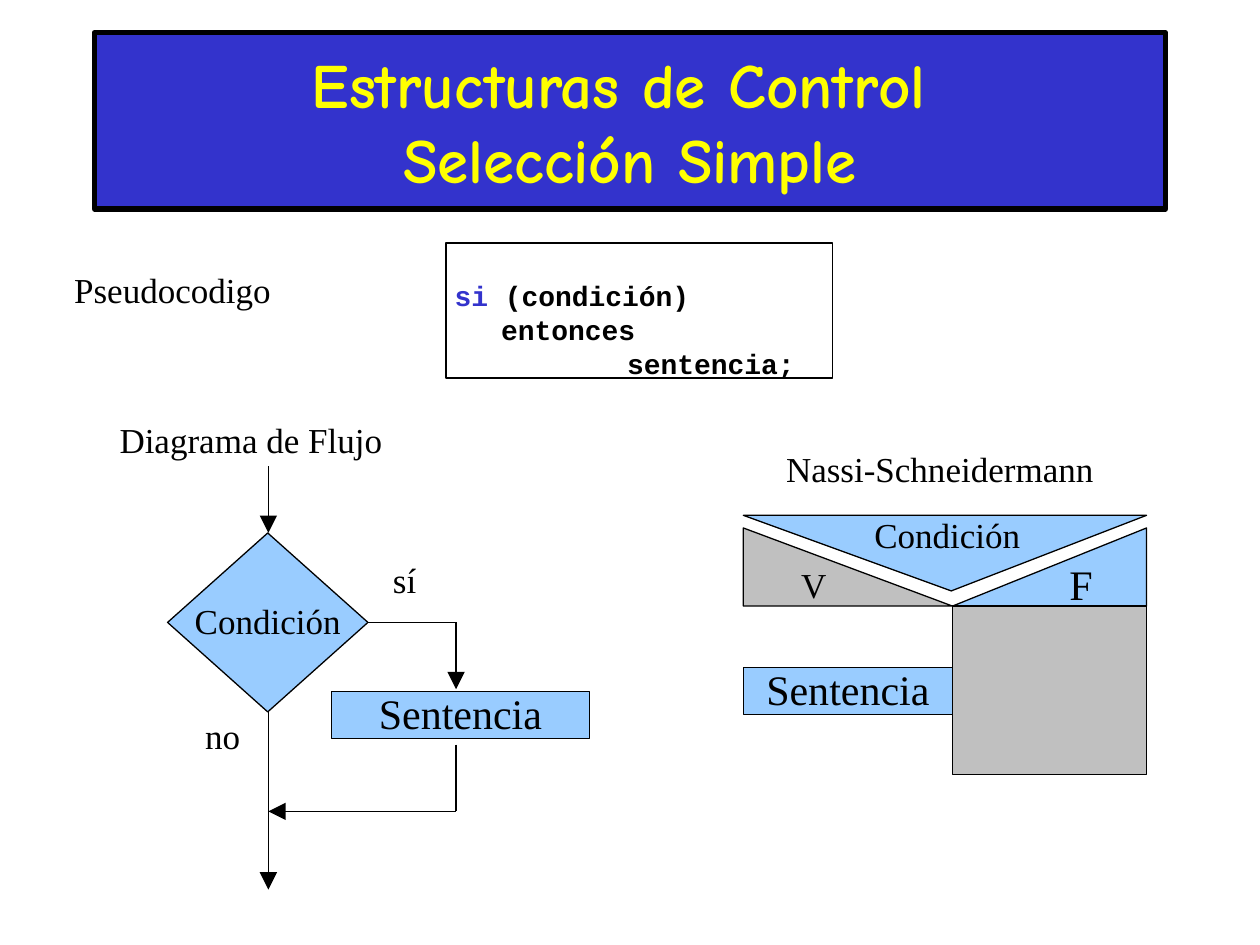
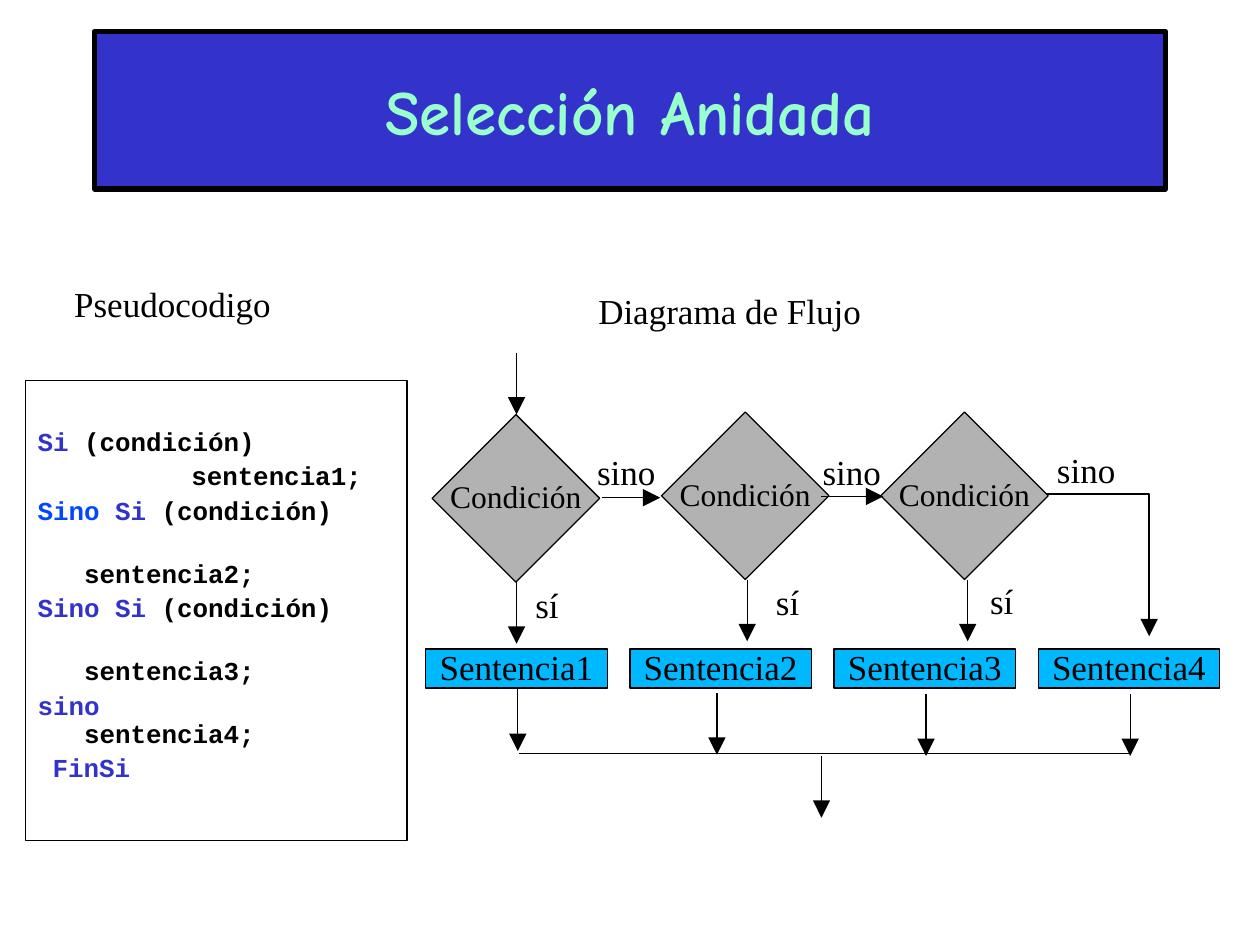
from lxml.etree import SubElement
from pptx import Presentation
from pptx.dml.color import RGBColor
from pptx.enum.shapes import MSO_CONNECTOR as Connector, MSO_SHAPE as Preset
from pptx.enum.text import MSO_ANCHOR as Anchor, PP_ALIGN as Align
from pptx.oxml.ns import qn
from pptx.util import Inches, Pt

# Shared look; every place is given on a grid of 10 columns by 7.5 rows
COLUMNS, ROWS, CELL = 10, 7.5, Inches(1)
BLACK, BLUE, KEYWORD, SKY = "000000", "3333CC", "0047FF", "99CCFF"
SILVER, GRAY, CYAN = "C0C0C0", "B2B2B2", "00B8FF"
TITLE_FONT = {"name": "Comic Neue", "size": Pt(36), "bold": True}
SERIF = "Times New Roman"
CODE = "Courier New"
THIN, THICK = 0.75, 3
LABEL_HEIGHT = 0.41

# Slide 1: simple selection
SIMPLE_TITLE = ["Estructuras de Control ", "Selección Simple"]
# Code line: runs of (text, colour), indent, space before
SIMPLE_CODE = [
    ([("si", BLUE), (" (condición)", BLACK)], 0, 0),
    ([("entonces", BLACK)], 0.37, 0),
    ([("sentencia;", BLACK)], 1.37, 0),
]
SIMPLE_LABELS = [
    ("Diagrama de Flujo", 0.85, 3.3, 3.11),
    ("sí", 3.02, 4.41, 0.6),
    ("no", 1.53, 5.65, 0.7),
    ("Nassi-Schneidermann", 6.14, 3.53, 2.74),
    ("Condición", 6.84, 4.06, 1.42),
    ("Pseudocodigo", 0.49, 2.11, 1.86),
]
FLOW_X, BRANCH_X = 2.13, 3.62
DECISION_TOP, DECISION_MIDDLE, DECISION_BOTTOM = 4.23, 4.94, 5.65
JOIN_Y = 6.44
# Line: start, end, has an arrowhead
SIMPLE_LINES = [
    ((FLOW_X, 3.7), (FLOW_X, DECISION_TOP), True),
    ((FLOW_X, DECISION_BOTTOM), (FLOW_X, 7.06), True),
    ((2.92, DECISION_MIDDLE), (BRANCH_X, DECISION_MIDDLE), False),
    ((BRANCH_X, DECISION_MIDDLE), (BRANCH_X, 5.47), True),
    ((BRANCH_X, 5.91), (BRANCH_X, JOIN_Y), False),
    ((BRANCH_X, JOIN_Y), (FLOW_X, JOIN_Y), True),
]
# Nassi-Schneidermann chart
CHART_LEFT, CHART_SPLIT, CHART_RIGHT = 5.9, 7.56, 9.1
CHART_TOP, WEDGE_TOP, WEDGE_BOTTOM = 4.09, 4.19, 4.81
CHART_WEDGES = [
    ([(CHART_LEFT, CHART_TOP), (CHART_RIGHT, CHART_TOP), (7.55, 4.69)], SKY),
    ([(CHART_LEFT, WEDGE_TOP), (CHART_SPLIT, WEDGE_BOTTOM), (CHART_LEFT, WEDGE_BOTTOM)], SILVER),
    ([(CHART_RIGHT, WEDGE_TOP), (CHART_SPLIT, WEDGE_BOTTOM), (CHART_RIGHT, WEDGE_BOTTOM)], SKY),
]
CHART_LETTERS = [("V", (6.26, 4.45, 0.4, 0.41), 20), ("F", (8.39, 4.42, 0.38, 0.47), 24)]

# Slide 2: nested selection
NESTED_TITLE = ["Selección Anidada"]
NESTED_CODE = [
    ([("Si", BLUE), (" (condición)", BLACK)], 0, 0),
    ([("sentencia1;", BLACK)], 1.22, 3.7),
    ([("Sino ", KEYWORD), ("Si", BLUE), (" (condición)", BLACK)], 0, 3.7),
    ([("sentencia2;", BLACK)], 0.37, 20),
    ([("Sino Si", BLUE), (" (condición)", BLACK)], 0, 3.7),
    ([("sentencia3;", BLACK)], 0.37, 20),
    ([("sino", BLUE)], 0, 3.7),
    ([("sentencia4;", BLACK)], 0.37, 0),
    ([("FinSi", BLUE)], 0.12, 3.7),
]
NESTED_LABELS = [
    ("Diagrama de Flujo", 4.65, 2.28, 2.9),
    ("Pseudocodigo", 0.49, 2.22, 1.86),
    ("sí", 4.15, 4.61, 0.5),
    ("sí", 6.06, 4.59, 0.5),
    ("sí", 7.76, 4.58, 0.5),
    ("sino", 4.64, 3.56, 0.85),
    ("sino", 6.43, 3.56, 0.85),
    ("sino", 8.29, 3.54, 0.85),
]
DECISION_SIZE = 1.33
DECISIONS = [(3.43, 3.29), (5.25, 3.27), (6.99, 3.27)]
SENTENCES = ["Sentencia1", "Sentencia2", "Sentencia3", "Sentencia4"]
SENTENCE_LEFT, SENTENCE_TOP, SENTENCE_STEP = 3.38, 5.15, 1.62
ARROW_LENGTH, MERGE_Y = 0.49, 5.98
# Down arrows by their start, all of one length
DOWN_ARROWS = [
    (4.1, 2.8), (4.1, 4.62), (5.93, 4.6), (7.68, 4.6),
    (4.11, 5.47), (5.69, 5.5), (7.35, 5.51), (8.97, 5.51), (6.52, 6),
]
NESTED_LINES = [
    ((4.78, 3.95), (5.24, 3.95), True),
    ((6.52, 3.94), (7.01, 3.94), True),
    ((4.12, MERGE_Y), (8.98, MERGE_Y), False),
]
LAST_BRANCH = [(8.3, 3.92), (9.12, 3.92), (9.12, 5.05)]


def grid(*values):
    return [int(value * CELL) for value in values]


def color(hex_text):
    return RGBColor.from_string(hex_text)


def set_values(target, values):
    for name, value in values.items():
        setattr(target, name, value)


def style(shape, fill=None, width=THIN):
    shape.shadow.inherit = False
    if fill:
        shape.fill.solid()
        shape.fill.fore_color.rgb = color(fill)
    else:
        shape.fill.background()
    shape.line.color.rgb = color(BLACK)
    shape.line.width = Pt(width)
    return shape


def add_arrowhead(shape):
    line = shape.line._get_or_add_ln()
    SubElement(line, qn("a:tailEnd"), type="triangle", w="lg", len="lg")


def write(shape, lines, font, frame=None, paragraph_format=None):
    """Fill a shape with lines of (runs, indent, space before)."""
    text_frame = shape.text_frame
    set_values(text_frame, {"word_wrap": True, **(frame or {})})
    for number, (runs, indent, before) in enumerate(lines):
        paragraph = text_frame.add_paragraph() if number else text_frame.paragraphs[0]
        set_values(paragraph, {"space_before": Pt(before), **(paragraph_format or {})})
        if indent:
            paragraph._p.get_or_add_pPr().set("marL", str(int(indent * CELL)))
        for text, hex_text in runs:
            run = paragraph.add_run()
            run.text = text
            set_values(run.font, font)
            run.font.color.rgb = color(hex_text)


def add_box(slide, box, fill=None, width=THIN, preset=Preset.RECTANGLE):
    return style(slide.shapes.add_shape(preset, *grid(*box)), fill, width)


def add_title(slide, lines, box, hex_text):
    band = add_box(slide, box, BLUE, THICK)
    write(band, [([(line, hex_text)], 0, 0) for line in lines], TITLE_FONT,
          {"vertical_anchor": Anchor.MIDDLE}, {"alignment": Align.CENTER})


def write_centred(shape, text, size):
    margins = dict.fromkeys(("margin_left", "margin_top", "margin_right", "margin_bottom"), 0)
    write(shape, [([(text, BLACK)], 0, 0)], {"name": SERIF, "size": Pt(size)},
          {"word_wrap": False, "vertical_anchor": Anchor.MIDDLE, **margins},
          {"alignment": Align.CENTER, "line_spacing": 0.93})


def write_code(shape, lines, size, pitch, top):
    write(shape, lines, {"name": CODE, "size": Pt(size), "bold": True},
          {"vertical_anchor": Anchor.TOP, "margin_top": Inches(top)},
          {"alignment": Align.LEFT, "line_spacing": Pt(pitch)})


def add_labels(slide, labels):
    for text, left, top, width in labels:
        label = slide.shapes.add_textbox(*grid(left, top, width, LABEL_HEIGHT))
        write(label, [([(text, BLACK)], 0, 0)], {"name": SERIF, "size": Pt(20)},
              paragraph_format={"line_spacing": 0.93})


def add_lines(slide, lines):
    for start, end, has_arrow in lines:
        line = slide.shapes.add_connector(Connector.STRAIGHT, *grid(*start, *end))
        line.line.color.rgb = color(BLACK)
        line.line.width = Pt(THIN)
        if has_arrow:
            add_arrowhead(line)
        SubElement(line._element.spPr, qn("a:effectLst"))


def add_outline(slide, points, fill=None, close=True):
    builder = slide.shapes.build_freeform(*grid(*points[0]), scale=1.0)
    builder.add_line_segments([tuple(grid(*point)) for point in points[1:]], close=close)
    return style(builder.convert_to_shape(), fill)


def build_simple(slide):
    add_title(slide, SIMPLE_TITLE, (0.75, 0.26, 8.5, 1.4), "FFFF00")
    # Pseudocode
    add_box(slide, (3.54, 1.93, 3.07, 1.07))
    code = slide.shapes.add_textbox(*grid(3.51, 1.82, 3.14, 1.2))
    write_code(code, SIMPLE_CODE, 16, 19.4, 0.39)
    # Flow chart
    decision = add_box(slide, (1.33, DECISION_TOP, 1.59, DECISION_BOTTOM - DECISION_TOP),
                       SKY, preset=Preset.DIAMOND)
    write_centred(decision, "Condición", 20)
    write_centred(add_box(slide, (2.63, 5.49, 2.05, 0.37), SKY), "Sentencia", 24)
    add_lines(slide, SIMPLE_LINES)
    # Nassi-Schneidermann chart
    for points, fill in CHART_WEDGES:
        add_outline(slide, points, fill)
    for letter, box, size in CHART_LETTERS:
        write_centred(slide.shapes.add_textbox(*grid(*box)), letter, size)
    sentence = add_box(slide, (CHART_LEFT, 5.3, CHART_SPLIT - CHART_LEFT, 0.37), SKY)
    write_centred(sentence, "Sentencia", 24)
    add_box(slide, (CHART_SPLIT, WEDGE_BOTTOM, CHART_RIGHT - CHART_SPLIT, 1.34), SILVER)
    add_labels(slide, SIMPLE_LABELS)


def build_nested(slide):
    add_title(slide, NESTED_TITLE, (0.75, 0.25, 8.5, 1.25), "99FFCC")
    write_code(add_box(slide, (0.2, 3.02, 3.03, 3.65)), NESTED_CODE, 14.8, 16, 0.38)
    # Flow chart
    for left, top in DECISIONS:
        decision = add_box(slide, (left, top, DECISION_SIZE, DECISION_SIZE),
                           GRAY, preset=Preset.DIAMOND)
        write_centred(decision, "Condición", 18)
    for number, text in enumerate(SENTENCES):
        left = SENTENCE_LEFT + number * SENTENCE_STEP
        write_centred(add_box(slide, (left, SENTENCE_TOP, 1.44, 0.31), CYAN), text, 20)
    arrows = [((x, y), (x, y + ARROW_LENGTH), True) for x, y in DOWN_ARROWS]
    add_lines(slide, arrows + NESTED_LINES)
    add_arrowhead(add_outline(slide, LAST_BRANCH, close=False))
    add_labels(slide, NESTED_LABELS)


def main():
    presentation = Presentation()
    presentation.slide_width, presentation.slide_height = grid(COLUMNS, ROWS)
    blank = presentation.slide_layouts[6]
    for build in (build_simple, build_nested):
        build(presentation.slides.add_slide(blank))
    presentation.save("out.pptx")


if __name__ == "__main__":
    main()
